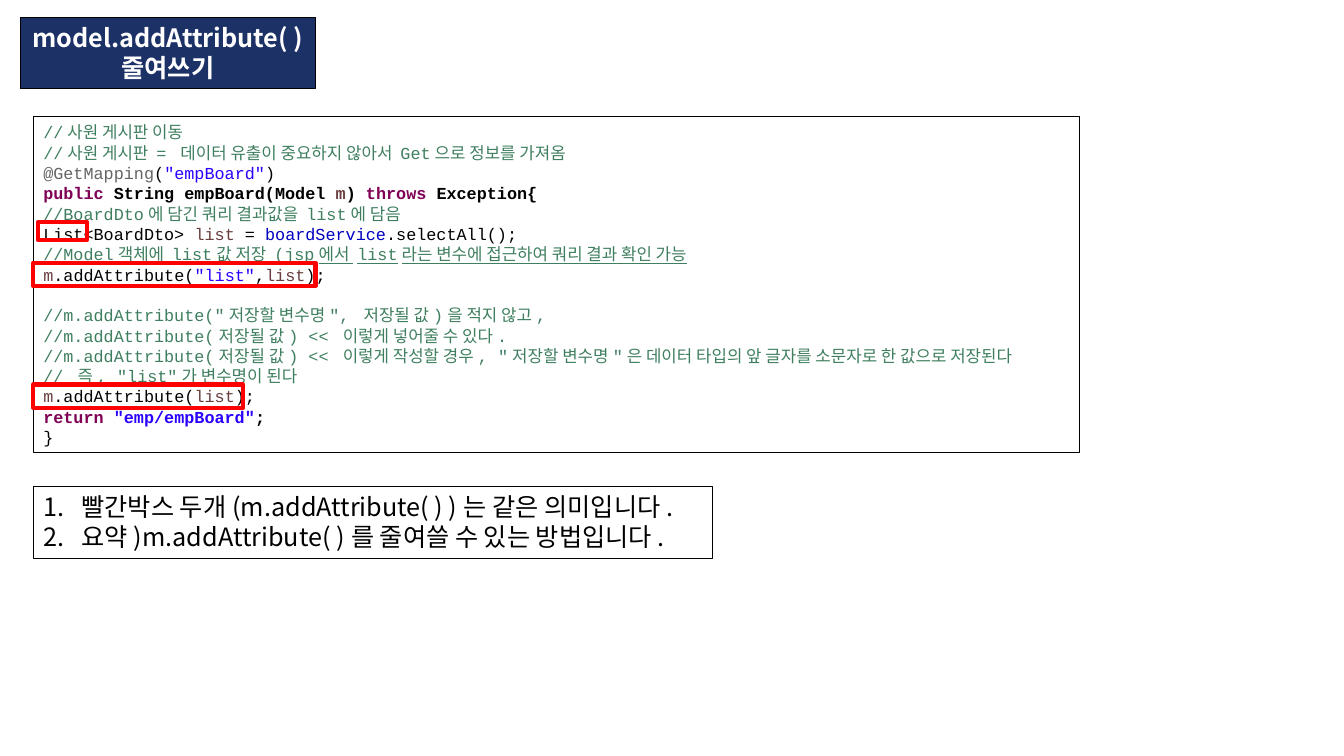
from dataclasses import dataclass

from lxml.etree import SubElement
from pptx import Presentation
from pptx.dml.color import RGBColor
from pptx.enum.shapes import MSO_SHAPE
from pptx.enum.text import MSO_ANCHOR, PP_ALIGN
from pptx.oxml.ns import qn
from pptx.util import Inches, Pt

# Content
TITLE = ["model.addAttribute( )", "줄여쓰기"]

# Each code line is a list of (text, token); an empty list is a blank code line.
CODE = [
    [("//사원 게시판 이동", "comment")],
    [("//사원 게시판 = 데이터 유출이 중요하지 않아서 Get으로 정보를 가져옴", "comment")],
    [("@GetMapping", "annotation"), ("(", "plain"), ('"empBoard"', "string"), (")", "plain")],
    [("public", "keyword"), (" String empBoard(Model ", "plain"), ("m", "variable"),
     (") ", "plain"), ("throws", "keyword"), (" Exception{", "plain")],
    [("//BoardDto에 담긴 쿼리 결과값을 list에 담음", "comment")],
    [("List<BoardDto> ", "plain"), ("list", "variable"), (" = ", "plain"),
     ("boardService", "field"), (".selectAll();", "plain")],
    [("//Model객체에 list값 저장 (", "comment"),
     ("jsp에서 list라는 변수에 접근하여 쿼리 결과 확인 가능", "underlined")],
    [("m", "variable"), (".addAttribute(", "plain"), ('"list"', "string"), (",", "plain"),
     ("list", "variable"), (");", "plain")],
    [],
    [('//m.addAttribute("저장할 변수명", 저장될 값)을 적지 않고,', "comment")],
    [("//m.addAttribute(저장될 값) << 이렇게 넣어줄 수 있다.", "comment")],
    [('//m.addAttribute(저장될 값) << 이렇게 작성할 경우, "저장할 변수명"은 '
      "데이터 타입의 앞 글자를 소문자로 한 값으로 저장된다", "comment")],
    [('// 즉, "list"가 변수명이 된다', "comment")],
    [("m", "variable"), (".addAttribute(", "plain"), ("list", "variable"), (");", "plain")],
    [("return ", "keyword"), ('"emp/empBoard"', "string"), (";", "plain")],
    [("}", "plain")],
]
BOLD_ROWS = {3, 14}

# Red frames: code row, first column, columns wide, rows high
HIGHLIGHTS = [(5, -0.5, 4.8, 0.9), (7, -1, 28, 1.15), (13, -1, 20.8, 1.15)]

NOTES = [
    "빨간박스 두개(m.addAttribute( ) )는 같은 의미입니다.",
    "요약)m.addAttribute( )를 줄여쓸 수 있는 방법입니다.",
]

# Left, top, width, height in percent of the slide
TITLE_AREA = (1.5, 2.27, 21.98, 9.47)
CODE_AREA = (2.48, 15.47, 77.87, 44.4)
NOTES_AREA = (2.48, 64.4, 50.56, 9.47)


@dataclass(frozen=True)
class Theme:
    navy: str = "1C3166"
    white: str = "FFFFFF"
    black: str = "000000"
    red: str = "FF0000"
    text_font: str = "Noto Sans CJK KR"
    code_font: str = "Courier New"
    text_size: float = 18
    code_size: float = 12
    text_pitch: float = 21.5
    code_pitch: float = 14.5
    thin: float = 0.75
    thick: float = 3


THEME = Theme()
TOKEN_COLORS = {
    "comment": "3F7F5F", "underlined": "3F7F5F", "annotation": "646464",
    "plain": THEME.black, "string": "2A00FF", "keyword": "7F0055",
    "variable": "6A3E3E", "field": "0000C0",
}

deck = Presentation()
deck.slide_width, deck.slide_height = Inches(13.33), Inches(7.5)
page = deck.slides.add_slide(deck.slide_layouts[6])


def area(left, top, width, height):
    across, down = deck.slide_width / 100, deck.slide_height / 100
    return int(left * across), int(top * down), int(width * across), int(height * down)


def add_box(place, line_color, line_width, fill=None):
    box = page.shapes.add_shape(MSO_SHAPE.RECTANGLE, *place)
    box.shadow.inherit = False
    if fill:
        box.fill.solid()
        box.fill.fore_color.rgb = RGBColor.from_string(fill)
    else:
        box.fill.background()
    box.line.color.rgb = RGBColor.from_string(line_color)
    box.line.width = Pt(line_width)
    frame = box.text_frame
    frame.word_wrap = True
    frame.vertical_anchor = MSO_ANCHOR.TOP
    return box


def add_paragraph(frame, index, pitch, align=PP_ALIGN.LEFT):
    para = frame.paragraphs[0] if index == 0 else frame.add_paragraph()
    para.alignment = align
    para.line_spacing = Pt(pitch)
    return para


def add_span(para, text, font_name, size, color, bold=False, underline=False):
    span = para.add_run()
    span.text = text
    font = span.font
    font.name, font.size, font.bold = font_name, Pt(size), bold
    if underline:
        font.underline = True
    font.color.rgb = RGBColor.from_string(color)
    SubElement(span._r.get_or_add_rPr(), qn("a:ea")).set("typeface", THEME.text_font)


def number_paragraph(para):
    properties = para._p.get_or_add_pPr()
    properties.set("marL", str(Inches(0.38)))
    properties.set("indent", str(-Inches(0.38)))
    SubElement(properties, qn("a:buFont")).set("typeface", "+mj-lt")
    SubElement(properties, qn("a:buAutoNum")).set("type", "arabicPeriod")


# Title
title_box = add_box(area(*TITLE_AREA), THEME.black, THEME.thin, THEME.navy)
title_box.text_frame.word_wrap = False
for index, text in enumerate(TITLE):
    para = add_paragraph(title_box.text_frame, index, THEME.text_pitch, PP_ALIGN.CENTER)
    add_span(para, text, THEME.text_font, THEME.text_size, THEME.white, bold=True)

# Code listing, where a blank line becomes space before the next one
code_box = add_box(area(*CODE_AREA), THEME.black, THEME.thin)
code_frame = code_box.text_frame
written = 0
for row, tokens in enumerate(CODE):
    if not tokens:
        continue
    para = add_paragraph(code_frame, written, THEME.code_pitch)
    if row and not CODE[row - 1]:
        para.space_before = Pt(THEME.code_pitch)
    for text, token in tokens:
        add_span(para, text, THEME.code_font, THEME.code_size, TOKEN_COLORS[token],
                 row in BOLD_ROWS, token == "underlined")
    written += 1

# Numbered notes
notes_box = add_box(area(*NOTES_AREA), THEME.black, THEME.thin)
for index, text in enumerate(NOTES):
    para = add_paragraph(notes_box.text_frame, index, THEME.text_pitch)
    number_paragraph(para)
    add_span(para, text, THEME.text_font, THEME.text_size, THEME.black)

# Red frames on the grid of code characters
column_width = Pt(THEME.code_size * 0.6)
row_height = Pt(THEME.code_pitch)
grid_left = code_box.left + code_frame.margin_left
grid_top = code_box.top + code_frame.margin_top - Pt(1)
for row, column, columns, rows in HIGHLIGHTS:
    place = (grid_left + column * column_width, grid_top + row * row_height,
             columns * column_width, rows * row_height)
    add_box([int(length) for length in place], THEME.red, THEME.thick)

deck.save("out.pptx")
